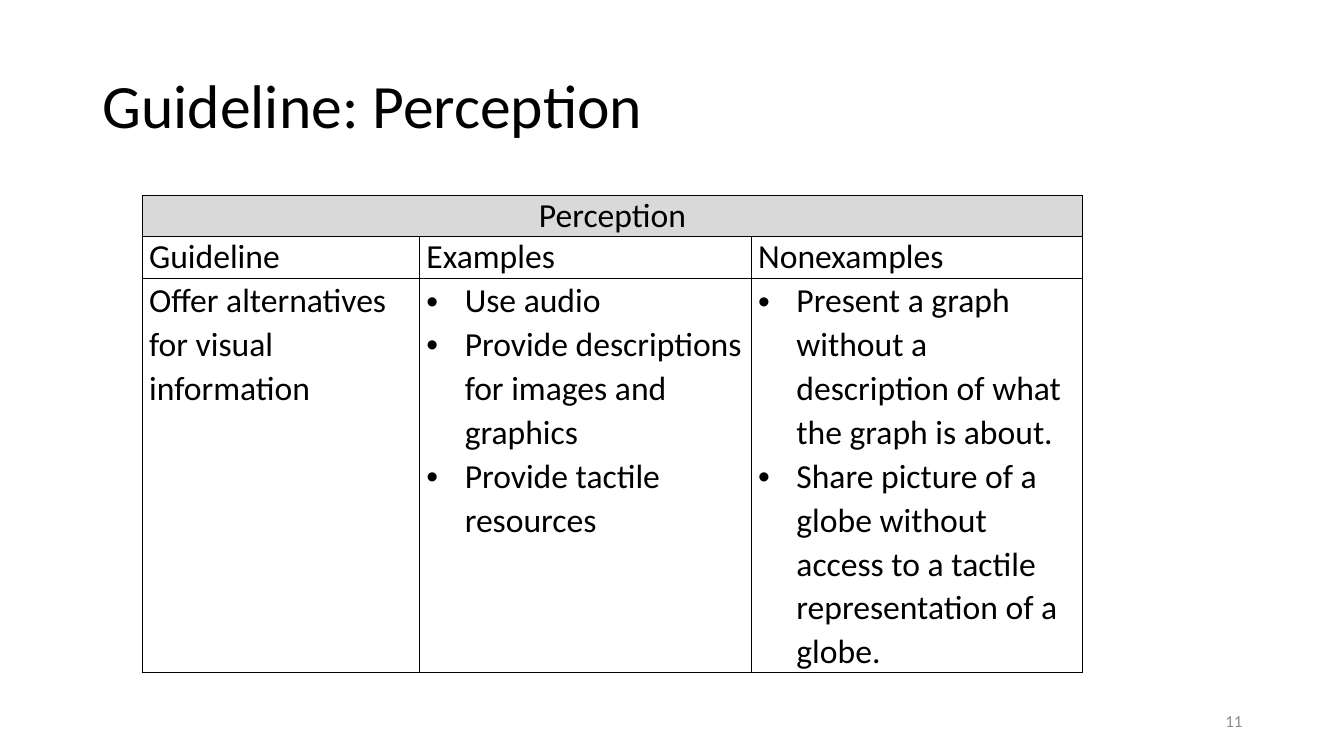
from dataclasses import dataclass
from typing import Optional

from lxml import etree
from pptx import Presentation
from pptx.dml.color import RGBColor
from pptx.enum import text
from pptx.oxml import ns
from pptx.util import Inches, Pt

BLACK = RGBColor(0x00, 0x00, 0x00)
GRAY = RGBColor(0x8C, 0x8C, 0x8C)
BAND = RGBColor(0xD9, 0xD9, 0xD9)
FONT = "Calibri"
COLUMN_WIDTHS = (2.75, 3.29, 3.29)
ROW_HEIGHTS = (0.41, 0.41, 3.91)


@dataclass(frozen=True)
class Label:
    text: str
    left: float
    top: float
    width: float
    height: float
    size: int
    color: RGBColor
    align: text.PP_ALIGN = text.PP_ALIGN.LEFT
    spacing: float = 1.0


@dataclass(frozen=True)
class CellText:
    lines: tuple[str, ...]
    align: text.PP_ALIGN = text.PP_ALIGN.LEFT
    spacing: float = 1.0
    bulleted: bool = False
    fill: Optional[RGBColor] = None


LABELS = (
    Label("Guideline: Perception", 0.92, 0.35, 11.5, 1.45, 44, BLACK, spacing=0.9),
    Label("11", 9.42, 6.95, 3, 0.4, 12, GRAY, text.PP_ALIGN.RIGHT),
)

ROWS = (
    (CellText(("Perception",), text.PP_ALIGN.CENTER, fill=BAND), CellText(("",)), CellText(("",))),
    tuple(CellText((heading,)) for heading in ("Guideline", "Examples", "Nonexamples")),
    (
        CellText(("Offer alternatives for visual information",), spacing=1.07),
        CellText(
            (
                "Use audio",
                "Provide descriptions for images and graphics",
                "Provide tactile resources",
            ),
            spacing=1.07,
            bulleted=True,
        ),
        CellText(
            (
                "Present a graph without a description of what the graph is about.",
                "Share picture of a globe without access to a tactile representation of a globe.",
            ),
            spacing=1.07,
            bulleted=True,
        ),
    ),
)


def format_paragraph(p, size: int, color: RGBColor, align: text.PP_ALIGN, spacing: float) -> None:
    p.alignment = align
    p.line_spacing = spacing
    for r in p.runs:
        r.font.name = FONT
        r.font.size = Pt(size)
        r.font.color.rgb = color


def add_bullet(p) -> None:
    props = p._p.get_or_add_pPr()
    props.set("marL", str(Inches(0.38)))
    props.set("indent", str(-Inches(0.38)))
    etree.SubElement(props, ns.qn("a:buFont"), typeface="Arial")
    etree.SubElement(props, ns.qn("a:buChar"), char="•")


def add_borders(cell) -> None:
    props = cell._tc.get_or_add_tcPr()
    for side in ("lnL", "lnR", "lnT", "lnB"):
        line = etree.SubElement(props, ns.qn(f"a:{side}"), w=str(Pt(1)))
        fill = etree.SubElement(line, ns.qn("a:solidFill"))
        etree.SubElement(fill, ns.qn("a:srgbClr"), val=str(BLACK))


def add_label(s, label: Label) -> None:
    sp = s.shapes.add_textbox(
        *(Inches(v) for v in (label.left, label.top, label.width, label.height))
    )
    tf = sp.text_frame
    tf.word_wrap = True
    tf.vertical_anchor = text.MSO_ANCHOR.MIDDLE
    tf.text = label.text
    format_paragraph(tf.paragraphs[0], label.size, label.color, label.align, label.spacing)


def fill_cell(cell, content: CellText) -> None:
    add_borders(cell)
    cell.margin_left = cell.margin_right = Inches(0.07)
    cell.margin_top = cell.margin_bottom = 0
    if content.fill is None:
        cell.fill.background()
    else:
        cell.fill.solid()
        cell.fill.fore_color.rgb = content.fill
    tf = cell.text_frame
    tf.text = "\n".join(content.lines)
    for p in tf.paragraphs:
        if content.bulleted:
            add_bullet(p)
        format_paragraph(p, 24, BLACK, content.align, content.spacing)


def add_guideline_table(s) -> None:
    frame = s.shapes.add_table(
        len(ROWS), len(COLUMN_WIDTHS), Inches(1.41), Inches(1.94),
        Inches(sum(COLUMN_WIDTHS)), Inches(sum(ROW_HEIGHTS)),
    )
    table = frame.table
    table.first_row = False
    table.horz_banding = False
    for column, width in zip(table.columns, COLUMN_WIDTHS):
        column.width = Inches(width)
    for row, height, contents in zip(table.rows, ROW_HEIGHTS, ROWS):
        row.height = Inches(height)
        for cell, content in zip(row.cells, contents):
            fill_cell(cell, content)
    table.cell(0, 0).merge(table.cell(0, len(COLUMN_WIDTHS) - 1))


def main() -> None:
    prs = Presentation()
    prs.slide_width = Inches(13.33)
    prs.slide_height = Inches(7.5)
    s = prs.slides.add_slide(prs.slide_layouts[6])
    title, page_number = LABELS
    add_label(s, title)
    add_guideline_table(s)
    add_label(s, page_number)
    prs.save("out.pptx")


if __name__ == "__main__":
    main()
